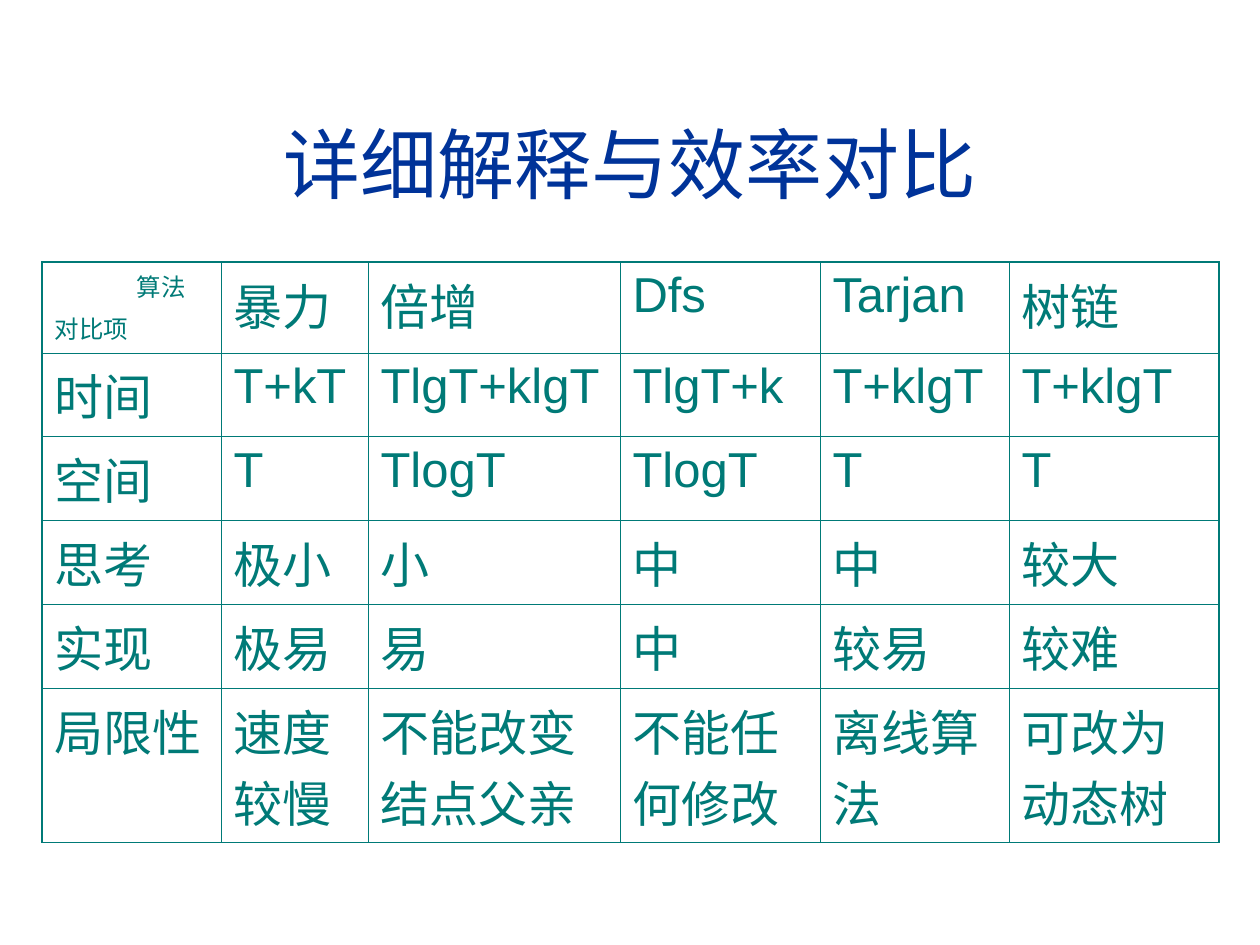
from dataclasses import dataclass

from lxml.etree import SubElement
from pptx import Presentation
from pptx.dml.color import RGBColor as Color
from pptx.enum.text import MSO_ANCHOR as Anchor, PP_ALIGN as Align
from pptx.oxml.ns import qn
from pptx.util import Emu, Pt

PX_PER_INCH = 126


@dataclass(frozen=True)
class Theme:
    font: str = "Arial"
    title_color: str = "003399"
    table_color: str = "007A77"
    title_size: int = 44
    body_size: int = 28
    corner_size: int = 14
    outer_line: float = 1.08
    inner_line: float = 0.45


THEME = Theme()
TITLE = "详细解释与效率对比"
COLUMN_WIDTHS = (179, 147, 252, 200, 189, 210)
ROW_HEIGHTS = (91, 83, 84, 84, 84, 154)
COMPARISON = (
    ("", "暴力", "倍增", "Dfs", "Tarjan", "树链"),
    ("时间", "T+kT", "TlgT+klgT", "TlgT+k", "T+klgT", "T+klgT"),
    ("空间", "T", "TlogT", "TlogT", "T", "T"),
    ("思考", "极小", "小", "中", "中", "较大"),
    ("实现", "极易", "易", "中", "较易", "较难"),
    ("局限性", "速度较慢", "不能改变结点父亲", "不能任何修改", "离线算法", "可改为动态树"),
)


def px(length):
    return Emu(round(length * 914400 / PX_PER_INCH))


def write(paragraph, text, size=THEME.body_size, color=THEME.table_color,
          align=Align.LEFT, before=0, indent=0):
    paragraph.alignment = align
    paragraph.space_before = Pt(before)
    if indent:
        properties = paragraph._p.get_or_add_pPr()
        properties.set("marL", str(px(indent)))
        properties.set("indent", "0")
    run = paragraph.add_run()
    run.text = text
    run.font.name = THEME.font
    run.font.size = Pt(size)
    run.font.bold = False
    run.font.color.rgb = Color.from_string(color)


def add_title(slide):
    title = slide.shapes.title
    title.left, title.top, title.width, title.height = map(px, (42, 84, 1177, 158))
    title.text_frame.vertical_anchor = Anchor.MIDDLE
    write(title.text_frame.paragraphs[0], TITLE, size=THEME.title_size,
          color=THEME.title_color, align=Align.CENTER)


def draw_borders(cell, outer_sides):
    properties = cell._tc.get_or_add_tcPr()
    for position, side in enumerate("LRTB"):
        width = THEME.outer_line if side in outer_sides else THEME.inner_line
        border = SubElement(properties, qn(f"a:ln{side}"), w=str(Pt(width)))
        fill = SubElement(border, qn("a:solidFill"))
        SubElement(fill, qn("a:srgbClr"), val=THEME.table_color)
        properties.insert(position, border)


def write_corner(cell):
    frame = cell.text_frame
    write(frame.paragraphs[0], "算法", size=THEME.corner_size, indent=82)
    write(frame.add_paragraph(), "对比项", size=THEME.corner_size, before=3.5)


def add_comparison(slide):
    last_row, last_column = len(ROW_HEIGHTS) - 1, len(COLUMN_WIDTHS) - 1
    frame = slide.shapes.add_table(
        len(ROW_HEIGHTS), len(COLUMN_WIDTHS), px(42), px(262),
        px(sum(COLUMN_WIDTHS)), px(sum(ROW_HEIGHTS)))
    table = frame.table
    table.first_row = table.horz_banding = False
    for column, width in zip(table.columns, COLUMN_WIDTHS):
        column.width = px(width)
    for row, height in zip(table.rows, ROW_HEIGHTS):
        row.height = px(height)
    for r, entries in enumerate(COMPARISON):
        for c, entry in enumerate(entries):
            cell = table.cell(r, c)
            cell.fill.background()
            edges = {"L": c == 0, "R": c == last_column,
                     "T": r == 0, "B": r == last_row}
            draw_borders(cell, [side for side, outer in edges.items() if outer])
            if entry:
                write(cell.text_frame.paragraphs[0], entry)
    write_corner(table.cell(0, 0))


def main():
    deck = Presentation()
    deck.slide_width, deck.slide_height = px(1260), px(945)
    slide = deck.slides.add_slide(deck.slide_layouts[5])
    add_title(slide)
    add_comparison(slide)
    deck.save("out.pptx")


if __name__ == "__main__":
    main()
